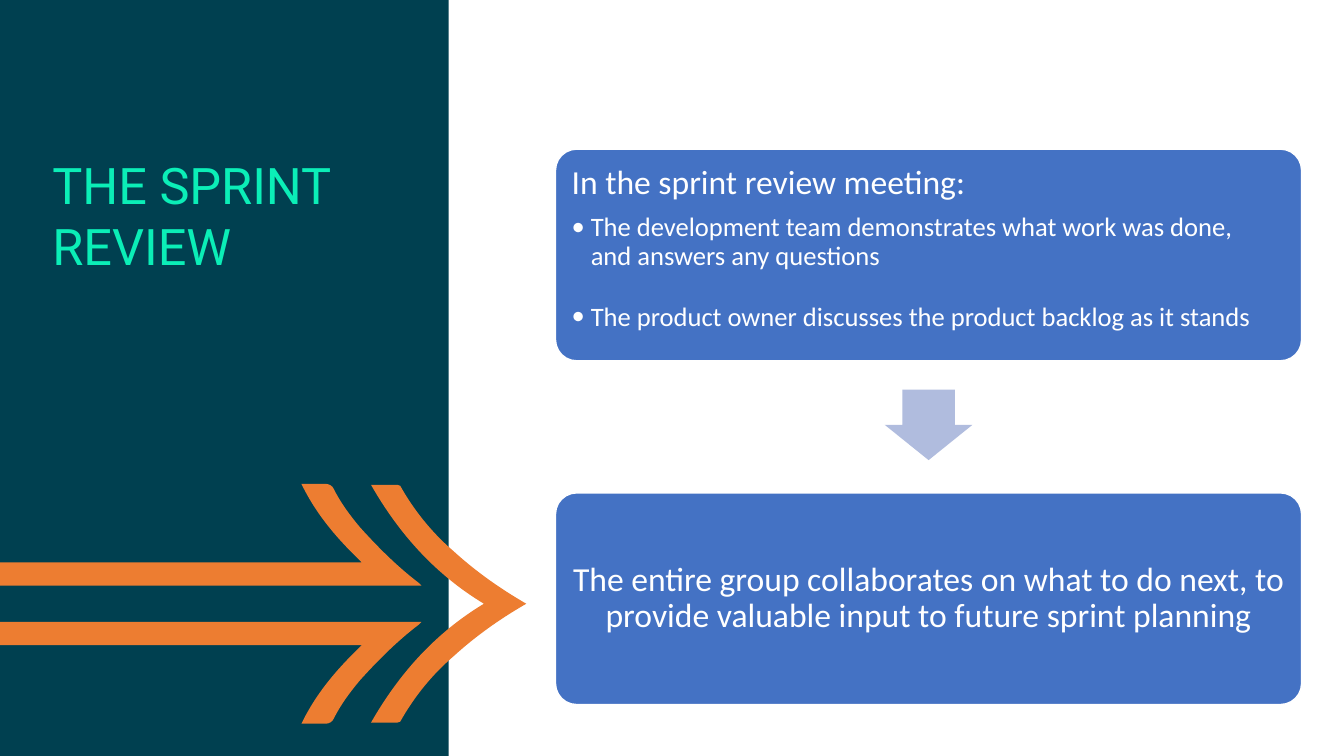
from dataclasses import dataclass

from lxml import etree
from pptx import Presentation
from pptx.dml.color import RGBColor
from pptx.enum.shapes import MSO_SHAPE
from pptx.enum.text import MSO_ANCHOR, PP_ALIGN
from pptx.oxml.ns import qn
from pptx.util import Inches, Pt

RECTANGLE = MSO_SHAPE.RECTANGLE
ROUNDED = MSO_SHAPE.ROUNDED_RECTANGLE
RIGHT_ARROW = MSO_SHAPE.RIGHT_ARROW
TOP, MIDDLE = MSO_ANCHOR.TOP, MSO_ANCHOR.MIDDLE
LEFT, CENTER = PP_ALIGN.LEFT, PP_ALIGN.CENTER

TITLE = "THE SPRINT REVIEW"
HEADING = "In the sprint review meeting:"
BULLETS = [
    "The development team demonstrates what work was done, \vand answers any questions",
    "The product owner discusses the product backlog as it stands",
]
OUTCOME = ("The entire group collaborates on what to do next, "
           "to provide valuable input to future sprint planning")

# Outlines in inches: one point is a straight step, three are a Bézier curve.
MIRROR_Y = 5.99
BARB = [
    [(4.18, 5.81)], [(-0.62, 5.81)], [(-0.62, 5.58)], [(3.59, 5.58)],
    [(3.35, 5.35), (3.14, 5.11), (2.99, 4.8)],
    [(3.23, 4.8)],
    [(3.26, 4.8), (3.3, 4.82), (3.31, 4.85)],
    [(3.38, 4.99), (3.47, 5.11), (3.57, 5.23)],
    [(3.75, 5.43), (3.94, 5.62), (4.15, 5.78)],
]
CHEVRON_HALF = [
    [(4.8, MIRROR_Y)],
    [(4.32, 5.7), (3.96, 5.3), (3.68, 4.81)],
    [(3.94, 4.81)], [(3.97, 4.82)],
    [(4.11, 5.07), (4.29, 5.29), (4.5, 5.47)],
    [(4.72, 5.67), (4.96, 5.84), (5.22, MIRROR_Y)],
]

CARD_LEFT, CARD_WIDTH, CARD_HEIGHT = 5.51, 7.4, 2.1
CARD_TOPS = (1.48, 4.89)
ARROW_LENGTH, ARROW_BREADTH, ARROW_TOP = 0.7, 0.87, 3.78


@dataclass(frozen=True)
class Theme:
    panel: RGBColor = RGBColor.from_string("004050")
    accent: RGBColor = RGBColor.from_string("ED7D31")
    title: RGBColor = RGBColor.from_string("0BEEB7")
    card: RGBColor = RGBColor.from_string("4472C4")
    arrow: RGBColor = RGBColor.from_string("B0BCDE")
    white: RGBColor = RGBColor.from_string("FFFFFF")
    title_font: str = "Roboto"
    body_font: str = "Calibri"
    title_size: int = 36
    heading_size: int = 24
    bullet_size: int = 19


THEME = Theme()


def paint(shape, color):
    shape.shadow.inherit = False
    shape.fill.solid()
    shape.fill.fore_color.rgb = color
    shape.line.fill.background()


def add_shape(page, kind, box, color):
    shape = page.shapes.add_shape(kind, *map(Inches, box))
    paint(shape, color)
    return shape


def mirror(steps):
    return [[(x, 2 * MIRROR_Y - y) for x, y in step] for step in steps]


def close_with_mirror(half):
    """Complete a half outline by walking back along its reflection."""
    points = [point for step in mirror(half) for point in step][-2::-1]
    remaining = iter(points)
    back = [[next(remaining) for _ in step] for step in half[:0:-1]]
    return half + back


def add_outline(page, steps):
    first, *rest = [(Inches(x), Inches(y)) for step in steps for x, y in step]
    builder = page.shapes.build_freeform(*first)
    builder.add_line_segments(rest, close=True)
    shape = builder.convert_to_shape()
    paint(shape, THEME.accent)
    lines = iter(list(shape.element.iter(qn("a:lnTo"))))
    for step in steps[1:]:
        group = [next(lines) for _ in step]
        if len(group) == 3:
            curve = etree.Element(qn("a:cubicBezTo"))
            group[0].addprevious(curve)
            for line in group:
                curve.append(line[0])
                line.getparent().remove(line)


def style_paragraph(para, font, size, color, align=LEFT):
    para.alignment = align
    para.font.name = font
    para.font.size = Pt(size)
    para.font.color.rgb = color


def add_bullet(para):
    properties = para._p.get_or_add_pPr()
    properties.set("marL", str(Inches(0.19)))
    properties.set("indent", str(-Inches(0.19)))
    etree.SubElement(properties, qn("a:buFont")).set("typeface", THEME.body_font)
    etree.SubElement(properties, qn("a:buChar")).set("char", "•")


def add_card(page, top, anchor):
    card = add_shape(page, ROUNDED, (CARD_LEFT, top, CARD_WIDTH, CARD_HEIGHT), THEME.card)
    card.adjustments[0] = 0.1
    card.line.color.rgb = THEME.white
    card.line.width = Pt(1)
    frame = card.text_frame
    frame.word_wrap = True
    frame.vertical_anchor = anchor
    frame.margin_left = frame.margin_right = Inches(0.1)
    frame.margin_top = frame.margin_bottom = Inches(0.1)
    return frame


def write_card_line(para, text, size, align=LEFT, after=0):
    para.text = text
    para.line_spacing = 0.9
    para.space_after = Pt(after)
    style_paragraph(para, THEME.body_font, size, THEME.white, align)


def add_title(page):
    title = page.shapes.title
    title.left, title.top, title.width, title.height = map(Inches, (0.42, 1.48, 3.77, 3.01))
    frame = title.text_frame
    frame.text = TITLE
    frame.word_wrap = True
    frame.vertical_anchor = TOP
    style_paragraph(frame.paragraphs[0], THEME.title_font, THEME.title_size, THEME.title)
    page.shapes.element.append(title.element)  # bring in front of the panel


def main():
    deck = Presentation()
    deck.slide_width, deck.slide_height = Inches(13.33), Inches(7.5)
    page = deck.slides.add_slide(deck.slide_layouts[5])

    add_shape(page, RECTANGLE, (0, 0, 4.45, 7.5), THEME.panel)
    for outline in (BARB, close_with_mirror(CHEVRON_HALF), mirror(BARB)):
        add_outline(page, outline)
    add_title(page)

    meeting = add_card(page, CARD_TOPS[0], TOP)
    write_card_line(meeting.paragraphs[0], HEADING, THEME.heading_size, after=8.5)
    for index, text in enumerate(BULLETS):
        para = meeting.add_paragraph()
        add_bullet(para)
        is_last = index == len(BULLETS) - 1
        write_card_line(para, text, THEME.bullet_size, after=0 if is_last else 23)

    arrow_left = CARD_LEFT + (CARD_WIDTH - ARROW_LENGTH) / 2
    arrow = add_shape(page, RIGHT_ARROW, (arrow_left, ARROW_TOP, ARROW_LENGTH, ARROW_BREADTH),
                      THEME.arrow)
    arrow.rotation = 90
    arrow.adjustments[0], arrow.adjustments[1] = 0.6, 0.5

    outcome = add_card(page, CARD_TOPS[1], MIDDLE)
    write_card_line(outcome.paragraphs[0], OUTCOME, THEME.heading_size, CENTER)

    deck.save("out.pptx")


if __name__ == "__main__":
    main()
